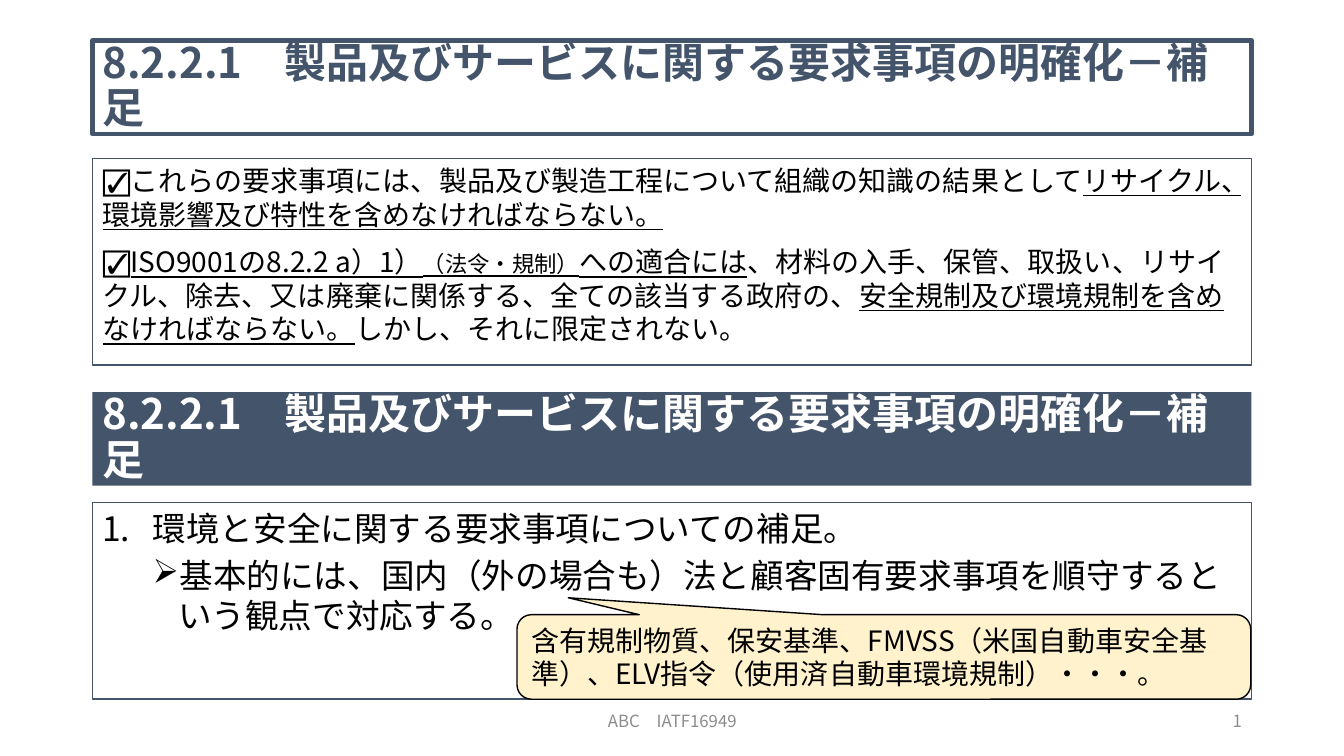
from lxml.etree import SubElement
from pptx import Presentation
from pptx.dml.color import RGBColor
from pptx.enum.shapes import MSO_SHAPE
from pptx.enum.text import MSO_ANCHOR, MSO_AUTO_SIZE, PP_ALIGN
from pptx.oxml.ns import qn
from pptx.util import Cm, Pt

FONT = "Noto Sans CJK JP"
NAVY, BLACK, WHITE, GREY, CREAM = "44546A", "000000", "FFFFFF", "8C8C8C", "FFF2CC"
LEFT, WIDTH = 2.33, 29.21
HEADING = "8.2.2.1　製品及びサービスに関する要求事項の明確化－補足"


def prepare(shape, box, fill=None, line=None, weight=1, anchor=MSO_ANCHOR.TOP):
    shape.left, shape.top, shape.width, shape.height = [Cm(length) for length in box]
    if fill:
        shape.fill.solid()
        shape.fill.fore_color.rgb = RGBColor.from_string(fill)
    else:
        shape.fill.background()
    if line:
        shape.line.color.rgb = RGBColor.from_string(line)
        shape.line.width = Pt(weight)
    else:
        shape.line.fill.background()
    frame = shape.text_frame
    frame.word_wrap = True
    frame.auto_size = MSO_AUTO_SIZE.NONE
    frame.vertical_anchor = anchor
    return frame


def style(paragraph, size, color, bold=False, align=PP_ALIGN.LEFT, spacing=1.0, before=0):
    paragraph.alignment = align
    paragraph.line_spacing = spacing
    paragraph.space_before = Pt(before)
    paragraph.font.name = FONT
    paragraph.font.size = Pt(size)
    paragraph.font.bold = bold
    paragraph.font.color.rgb = RGBColor.from_string(color)
    for run in paragraph.runs:
        SubElement(run._r.get_or_add_rPr(), qn("a:ea"), typeface=FONT)


deck = Presentation()
deck.slide_width, deck.slide_height = Cm(33.87), Cm(19.05)
slide = deck.slides.add_slide(deck.slide_layouts[1])
shapes = slide.shapes

requirements = prepare(slide.placeholders[1], (LEFT, 3.99, WIDTH, 5.21), line=NAVY)
clauses = [
    [("☑これらの要求事項には、製品及び製造工程について組織の知識の結果として", False, None),
     ("リサイクル、環境影響及び特性を含めなければならない。", True, None)],
    [("☑", False, None),
     ("ISO9001の8.2.2 a）1）", True, None),
     ("（法令・規制）", True, 16),
     ("への適合には", True, None),
     ("、材料の入手、保管、取扱い、リサイクル、除去、又は廃棄に関係する、全ての該当する政府の、", False, None),
     ("安全規制及び環境規制を含めなければならない。", True, None),
     ("しかし、それに限定されない。", False, None)],
]
for index, clause in enumerate(clauses):
    paragraph = requirements.add_paragraph() if index else requirements.paragraphs[0]
    for text, underlined, size in clause:
        run = paragraph.add_run()
        run.text = text
        if underlined:
            run.font.underline = True
        if size:
            run.font.size = Pt(size)
    properties = paragraph._p.get_or_add_pPr()
    properties.set("marL", "0")
    properties.set("indent", "0")
    SubElement(properties, qn("a:buNone"))
    style(paragraph, 20, BLACK, before=10 * index)

section = shapes.add_shape(MSO_SHAPE.RECTANGLE, 0, 0, 0, 0)
section.shadow.inherit = False
for heading, top, fill, line, color in [
    (shapes.title, 1.02, WHITE, NAVY, NAVY),
    (section, 9.88, NAVY, None, WHITE),
]:
    frame = prepare(heading, (LEFT, top, WIDTH, 2.36), fill, line, 3, MSO_ANCHOR.MIDDLE)
    frame.text = HEADING
    style(frame.paragraphs[0], 30, color, bold=True, spacing=0.9)

supplement = shapes.add_shape(MSO_SHAPE.RECTANGLE, 0, 0, 0, 0)
supplement.shadow.inherit = False
frame = prepare(supplement, (LEFT, 12.67, WIDTH, 4.95), line=NAVY)
points = [
    ("環境と安全に関する要求事項についての補足。", 1.27, 1.27, "buAutoNum", {"type": "arabicPeriod"}),
    ("基本的には、国内（外の場合も）法と顧客固有要求事項を順守するという観点で対応する。",
     1.91, 0.64, "buChar", {"char": "➢"}),
]
for level, (text, margin, hanging, bullet, settings) in enumerate(points):
    paragraph = frame.add_paragraph() if level else frame.paragraphs[0]
    paragraph.text = text
    paragraph.level = level
    properties = paragraph._p.get_or_add_pPr()
    properties.set("marL", str(Cm(margin)))
    properties.set("indent", str(-Cm(hanging)))
    SubElement(properties, qn(f"a:{bullet}"), **settings)
    style(paragraph, 24, BLACK, before=5 * level)

examples = shapes.add_shape(MSO_SHAPE.ROUNDED_RECTANGULAR_CALLOUT, 0, 0, 0, 0)
examples.shadow.inherit = False
for index, adjustment in enumerate((-0.43, -0.7, 0.17)):
    examples.adjustments[index] = adjustment
frame = prepare(examples, (13.03, 15.49, 18.49, 2.13), CREAM, BLACK, anchor=MSO_ANCHOR.MIDDLE)
frame.text = "含有規制物質、保安基準、FMVSS（米国自動車安全基準）、ELV指令（使用済自動車環境規制）・・・。"
style(frame.paragraphs[0], 20, BLACK)

for text, left, width, align in [
    ("ABC　IATF16949", 11.23, 11.43, PP_ALIGN.CENTER),
    ("1", 23.93, 7.62, PP_ALIGN.RIGHT),
]:
    footer = shapes.add_textbox(0, 0, 0, 0)
    frame = prepare(footer, (left, 17.65, width, 1.02), anchor=MSO_ANCHOR.MIDDLE)
    frame.text = text
    style(frame.paragraphs[0], 12, GREY, align=align)

deck.save("out.pptx")
